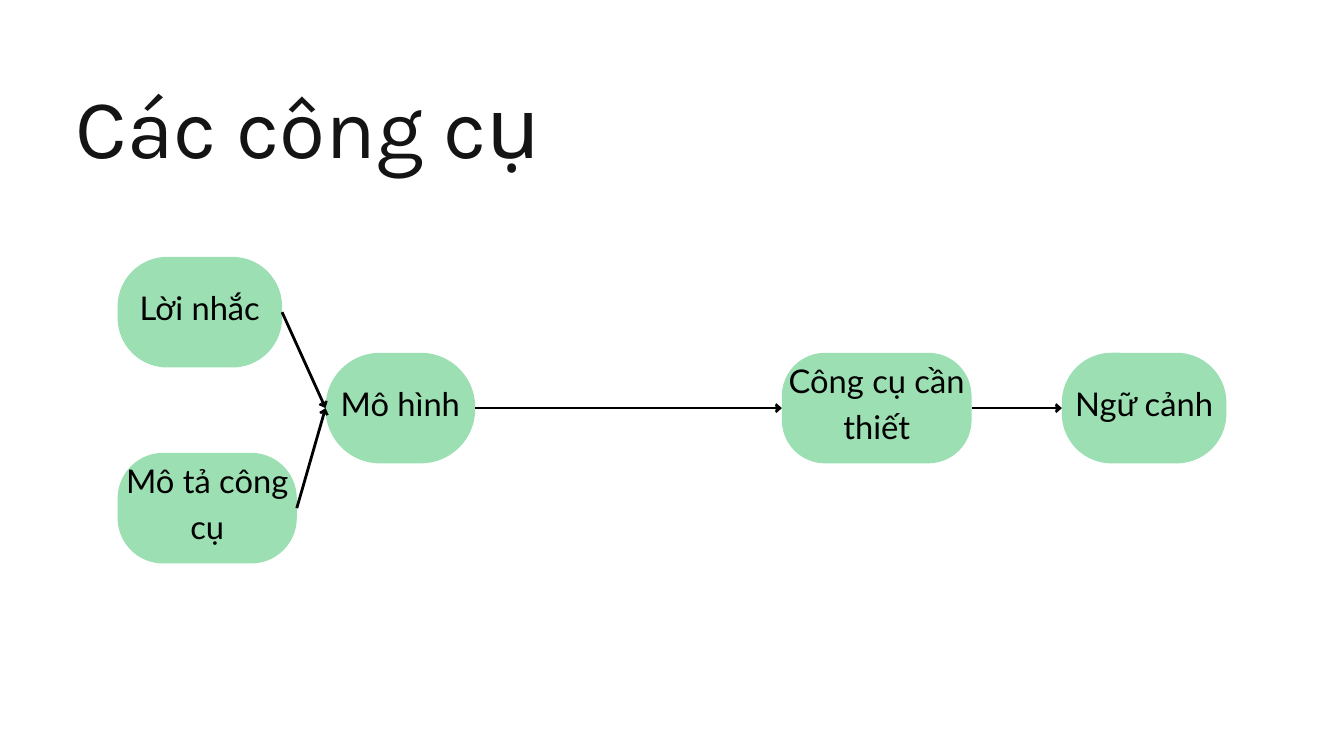
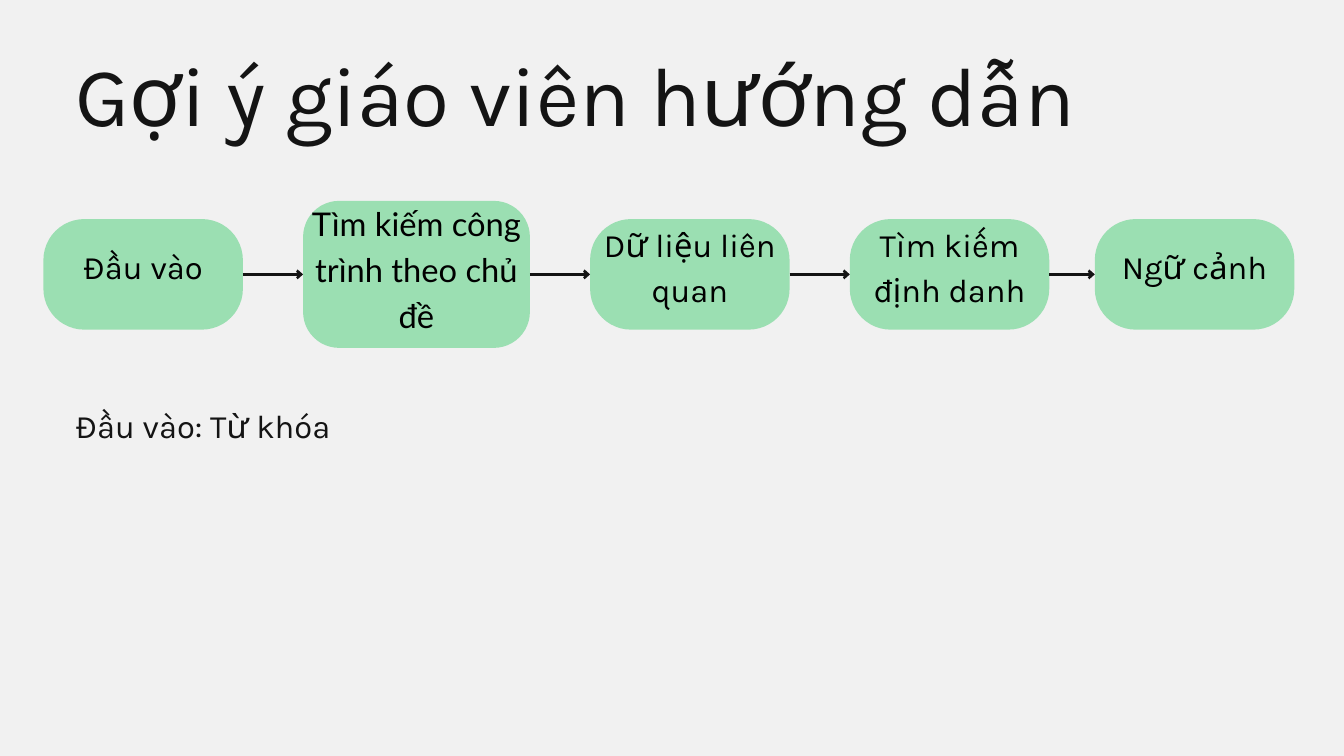
from lxml.etree import SubElement
from pptx import Presentation
from pptx.dml.color import RGBColor
from pptx.enum.shapes import MSO_CONNECTOR, MSO_SHAPE
from pptx.enum.text import MSO_ANCHOR, PP_ALIGN
from pptx.oxml.ns import qn
from pptx.util import Emu, Pt

PX = 9525
COLOURS = {"ink": "141414", "black": "000000", "node": "9BDFB2",
           "white": "FFFFFF", "grey": "F1F1F1"}
TITLE = {"font": "Karla", "size": 90, "spacing": 108, "colour": "ink"}
BODY = {"font": "Karla", "size": 35, "spacing": 50, "colour": "ink"}
NODE_LATO = {"font": "Lato", "size": 35, "spacing": 49, "colour": "black"}
NODE_KARLA = {**NODE_LATO, "font": "Karla"}
LABEL_RISE = {"Lato": 23, "Karla": 31}
NODE_HEIGHT = 158
CORNER_AREA = 16680  # corner radius times node width, in square px
LEFT_SITE, RIGHT_SITE = 1, 3


def px(*lengths):
    return [Emu(length * PX) for length in lengths]


def colour(name):
    return RGBColor.from_string(COLOURS[name])


def add_text(slide, box, text, style, align=PP_ALIGN.LEFT,
             anchor=MSO_ANCHOR.TOP, margin=0):
    frame = slide.shapes.add_textbox(*px(*box)).text_frame
    frame.word_wrap = True
    frame.vertical_anchor = anchor
    for side in ("left", "right", "top", "bottom"):
        setattr(frame, f"margin_{side}", Emu(margin * PX))
    paragraph = frame.paragraphs[0]
    paragraph.text = text
    paragraph.alignment = align
    paragraph.line_spacing = Pt(style["spacing"])
    paragraph.font.name = style["font"]
    paragraph.font.size = Pt(style["size"])
    paragraph.font.color.rgb = colour(style["colour"])


def add_node(slide, left, middle, width, text, style=NODE_LATO, height=NODE_HEIGHT):
    """Add a rounded node centred vertically on middle, its label slightly raised."""
    top = middle - height // 2
    shape = slide.shapes.add_shape(MSO_SHAPE.ROUNDED_RECTANGLE,
                                   *px(left, top, width, height))
    shape.adjustments[0] = CORNER_AREA / width / min(width, height)
    shape.shadow.inherit = False
    shape.fill.solid()
    shape.fill.fore_color.rgb = colour("node")
    shape.line.fill.background()
    rise = LABEL_RISE[style["font"]]
    add_text(slide, (left, top - rise, width, height + rise), text, style,
             PP_ALIGN.CENTER, MSO_ANCHOR.MIDDLE, margin=6)
    return shape


def add_arrow(slide, source, target, line_colour):
    arrow = slide.shapes.add_connector(MSO_CONNECTOR.STRAIGHT, 0, 0, 0, 0)
    arrow.begin_connect(source, RIGHT_SITE)
    arrow.end_connect(target, LEFT_SITE)
    arrow.line.width = Pt(3)
    arrow.line.color.rgb = colour(line_colour)
    SubElement(arrow.line._get_or_add_ln(), qn("a:tailEnd"),
               type="arrow", w="med", len="sm")
    SubElement(arrow._element.spPr, qn("a:effectLst"))


def add_slide(presentation, background, title, title_box):
    slide = presentation.slides.add_slide(presentation.slide_layouts[6])
    slide.background.fill.solid()
    slide.background.fill.fore_color.rgb = colour(background)
    add_text(slide, title_box, title, TITLE)
    return slide


def draw_tool_flow(slide, left, middle):
    """Two inputs join at the model, which leads to the tools and the context."""
    prompt = add_node(slide, left, middle - 137, 235, "Lời nhắc")
    description = add_node(slide, left, middle + 143, 256, "Mô tả công cụ")
    model = add_node(slide, left + 297, middle, 214, "Mô hình")
    tools = add_node(slide, left + 949, middle, 271, "Công cụ cần thiết")
    context = add_node(slide, left + 1349, middle, 235, "Ngữ cảnh")
    for source, target in [(prompt, model), (description, model),
                           (model, tools), (tools, context)]:
        add_arrow(slide, source, target, "black")


def draw_chain(slide, left, middle, steps):
    """Place steps of (text, width, height, style, gap after) in a row with arrows."""
    previous = None
    for text, width, height, style, gap in steps:
        node = add_node(slide, left, middle, width, text, style, height)
        if previous:
            add_arrow(slide, previous, node, "ink")
        previous = node
        left += width + gap


def build_tools_slide(presentation):
    slide = add_slide(presentation, "white", "Các công cụ", (108, 107, 1704, 145))
    draw_tool_flow(slide, 168, 583)


def build_supervisor_slide(presentation):
    slide = add_slide(presentation, "grey", "Gợi ý giáo viên hướng dẫn",
                      (108, 61, 1499, 145))
    add_text(slide, (108, 569, 1087, 65), "Đầu vào: Từ khóa", BODY)
    regular = (285, NODE_HEIGHT, NODE_KARLA)
    draw_chain(slide, 62, 392, [
        ("Đầu vào", *regular, 86),
        ("Tìm kiếm công trình theo chủ đề", 324, 210, NODE_LATO, 86),
        ("Dữ liệu liên quan", *regular, 86),
        ("Tìm kiếm định danh", *regular, 65),
        ("Ngữ cảnh", *regular, 0),
    ])


def main():
    presentation = Presentation()
    presentation.slide_width, presentation.slide_height = px(1920, 1080)
    build_tools_slide(presentation)
    build_supervisor_slide(presentation)
    presentation.save("out.pptx")


if __name__ == "__main__":
    main()
